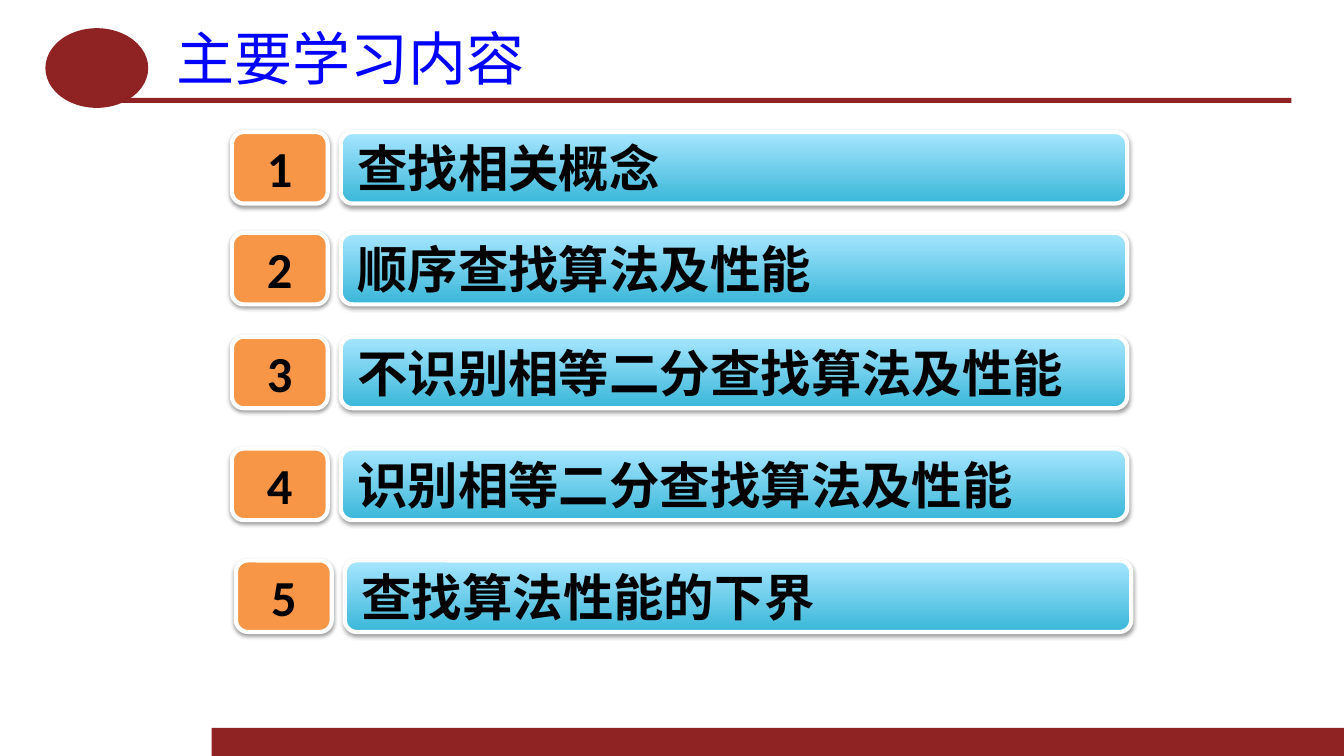
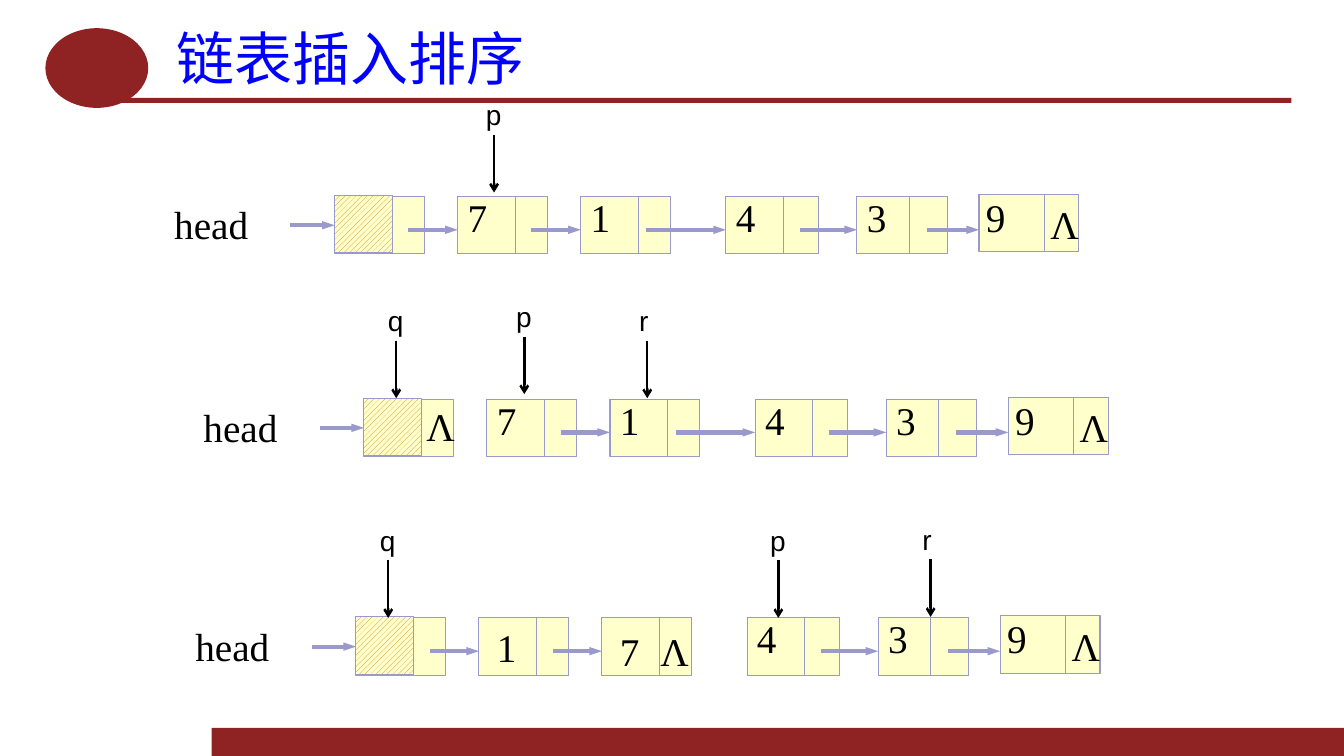
from lxml import etree
from pptx import Presentation
from pptx.dml.color import RGBColor
from pptx.enum.dml import MSO_PATTERN
from pptx.enum.shapes import MSO_CONNECTOR, MSO_SHAPE
from pptx.enum.text import MSO_ANCHOR, PP_ALIGN
from pptx.oxml.ns import qn
from pptx.util import Inches, Pt

RECT, OVAL, ROUND = MSO_SHAPE.RECTANGLE, MSO_SHAPE.OVAL, MSO_SHAPE.ROUNDED_RECTANGLE
LINE = MSO_CONNECTOR.STRAIGHT
TOP, MID = MSO_ANCHOR.TOP, MSO_ANCHOR.MIDDLE
LEFT, CENTER = PP_ALIGN.LEFT, PP_ALIGN.CENTER
HATCH = MSO_PATTERN.WIDE_UPWARD_DIAGONAL

RED = RGBColor(0x8F, 0x22, 0x22)
BLUE = RGBColor(0x00, 0x00, 0xFF)
BLACK = RGBColor(0x00, 0x00, 0x00)
WHITE = RGBColor(0xFF, 0xFF, 0xFF)
ORANGE = RGBColor(0xF7, 0x96, 0x46)
DEEP = RGBColor(0x39, 0xB7, 0xD8)
PALE = RGBColor(0xA7, 0xE6, 0xFF)
CREAM = RGBColor(0xFF, 0xFF, 0xCC)
LILAC = RGBColor(0x99, 0x99, 0xCC)
OCHRE = RGBColor(0xD0, 0x7E, 0x06)
HAN, SANS, SERIF, BODY = "Noto Sans CJK SC", "Arial", "Times New Roman", "Calibri"

BANDS = [
    (RECT, 2.1, 7.22, 11.23, 0.28),
    (RECT, 1.18, 0.97, 11.63, 0.05),
    (OVAL, 0.45, 0.28, 1.02, 0.79),
]
TOPICS = [
    ("查找相关概念", 2.3, 1.31),
    ("顺序查找算法及性能", 2.3, 2.31),
    ("不识别相等二分查找算法及性能", 2.3, 3.34),
    ("识别相等二分查找算法及性能", 2.3, 4.45),
    ("查找算法性能的下界", 2.34, 5.56),
]

# left, width, divider, link start, top shift
CELLS = [
    (3.32, 0.89, 0.57, 0.73, 0),
    (4.54, 0.89, 0.57, 0.73, 0),
    (5.76, 0.89, 0.57, 0.65, 0),
    (7.2, 0.92, 0.57, 0.73, 0),
    (8.5, 0.9, 0.52, 0.69, 0),
    (9.71, 0.99, 0.65, 0, -0.02),
]
HIGH = 0.57
LAST = {5: (0.61, -0.01)}
LISTS = [
    dict(shift=0, top=1.95, keys=" 71439", nils=LAST, nudge={},
         marks=[("p", 4.9, 0.92)]),
    dict(shift=0.29, top=3.96, keys=" 71439", nils={0: (0.52, -0.02), **LAST}, nudge={},
         marks=[("p", 5.2, 2.92), ("q", 3.93, 2.96), ("r", 6.42, 2.96)]),
    dict(shift=0.21, top=6.13, keys=" 17439", nils={2: (0.48, 0.04), **LAST},
         nudge={1: (0.08, 0.08), 2: (0.08, 0.12)},
         marks=[("p", 7.72, 5.14), ("q", 3.85, 5.14), ("r", 9.23, 5.13)]),
]


def write(shape, text, size=28, font=SERIF, color=BLACK, bold=False,
          align=LEFT, anchor=TOP, pad=(0.1, 0.05), wrap=False):
    frame = shape.text_frame
    frame.word_wrap = wrap
    frame.vertical_anchor = anchor
    frame.margin_left = frame.margin_right = Inches(pad[0])
    frame.margin_top = frame.margin_bottom = Inches(pad[1])
    para = frame.paragraphs[0]
    para.alignment = align
    run = para.add_run()
    run.text = text
    run.font.size, run.font.name, run.font.bold = Pt(size), font, bold
    run.font.color.rgb = color
    etree.SubElement(run._r.rPr, qn("a:ea"), typeface=HAN)


def label(slide, text, x, y, w, h, **style):
    box = slide.shapes.add_textbox(Inches(x), Inches(y), Inches(w), Inches(h))
    write(box, text, **style)


def block(slide, kind, x, y, w, h, fill=None, edge=None, width=0.75):
    shape = slide.shapes.add_shape(kind, Inches(x), Inches(y), Inches(w), Inches(h))
    shape.shadow.inherit = False
    if fill is not None:
        shape.fill.solid()
        shape.fill.fore_color.rgb = fill
    if edge is None:
        shape.line.fill.background()
    else:
        shape.line.color.rgb = edge
        shape.line.width = Pt(width)
    return shape


def stroke(slide, x1, y1, x2, y2, color=LILAC, width=0.75, tip=None, span="med"):
    line = slide.shapes.add_connector(LINE, Inches(x1), Inches(y1), Inches(x2), Inches(y2))
    line.line.color.rgb = color
    line.line.width = Pt(width)
    props = line.element.spPr
    if tip:
        etree.SubElement(props.find(qn("a:ln")), qn("a:tailEnd"), type=tip, w=span, len="med")
    etree.SubElement(props, qn("a:effectLst"))
    return line


def link(slide, x1, x2, y):
    return stroke(slide, x1, y, x2, y, width=3, tip="triangle", span="sm")


def start(deck, title):
    slide = deck.slides.add_slide(deck.slide_layouts[6])
    for band in BANDS:
        block(slide, *band, fill=RED)
    label(slide, title, 1.62, 0.21, 11.19, 0.71, size=41.4, font=HAN,
          color=BLUE, anchor=MID, pad=(0.13, 0.06), wrap=True)
    return slide


def lift(shape):
    effect = shape.element.spPr.find(qn("a:effectLst"))
    shade = etree.SubElement(effect, qn("a:outerShdw"), blurRad=str(Pt(3.1)),
                             dist=str(Pt(1.6)), dir="5400000", rotWithShape="0")
    tone = etree.SubElement(shade, qn("a:srgbClr"), val=str(BLACK))
    etree.SubElement(tone, qn("a:alpha"), val="38000")


def topic(slide, num, text, x, y):
    badge = block(slide, ROUND, x, y, 0.95, 0.71, ORANGE, WHITE, 3)
    bar = block(slide, ROUND, x + 1.08, y, 7.8, 0.71, None, WHITE, 3)
    bar.fill.gradient()
    bar.fill.gradient_angle = 90
    for stop, color in zip(bar.fill.gradient_stops, (DEEP, PALE)):
        stop.color.rgb = color
    for shape, words, align in ((badge, str(num), CENTER), (bar, text, LEFT)):
        lift(shape)
        write(shape, words, size=36, font=BODY, bold=True, align=align,
              anchor=MID, pad=(0.13, 0.06), wrap=True)


def chain(slide, shift, top, keys, nils, nudge, marks):
    label(slide, "head", 1.63 + shift, top - 0.01, 0.94, HIGH)
    nodes = []
    for x, w, split, _, drop in CELLS:
        x, y = x + shift, top + drop
        nodes.append(block(slide, RECT, x, y, w, HIGH, CREAM, LILAC))
        stroke(slide, x + split, y, x + split, y + HIGH)
    first = CELLS[0][0] + shift
    entry = link(slide, first - 0.44, first, top + HIGH / 2)
    entry.end_connect(nodes[0], 1)
    hatch = block(slide, RECT, first, top - 0.01, HIGH, HIGH, None, LILAC)
    hatch.fill.patterned()
    hatch.fill.pattern = HATCH
    hatch.fill.fore_color.rgb = OCHRE
    hatch.fill.back_color.rgb = CREAM
    for i, (x, _, _, begin, drop) in enumerate(CELLS):
        x += shift
        if i:
            dx, dy = nudge.get(i, (1.5 * drop, 0))
            label(slide, keys[i], x + dx, top - 0.08 + dy, 0.4, HIGH)
        if i in nils:
            dx, dy = nils[i]
            label(slide, "Λ", x + dx, top + dy, 0.49, HIGH)
        else:
            link(slide, x + begin, CELLS[i + 1][0] + shift, top + 0.33)
    for name, x, y in marks:
        label(slide, name, x - 0.18, y, 0.29 if name == "r" else 0.36, 0.44, size=20, font=SANS)
        stroke(slide, x, y + 0.42, x, y + 0.99, BLACK, 1.75, "arrow")


def main():
    deck = Presentation()
    deck.slide_width, deck.slide_height = Inches(13.33), Inches(7.5)
    slide = start(deck, "主要学习内容")
    for num, item in enumerate(TOPICS, 1):
        topic(slide, num, *item)
    slide = start(deck, "链表插入排序")
    for row in LISTS:
        chain(slide, **row)
    deck.save("out.pptx")


if __name__ == "__main__":
    main()
